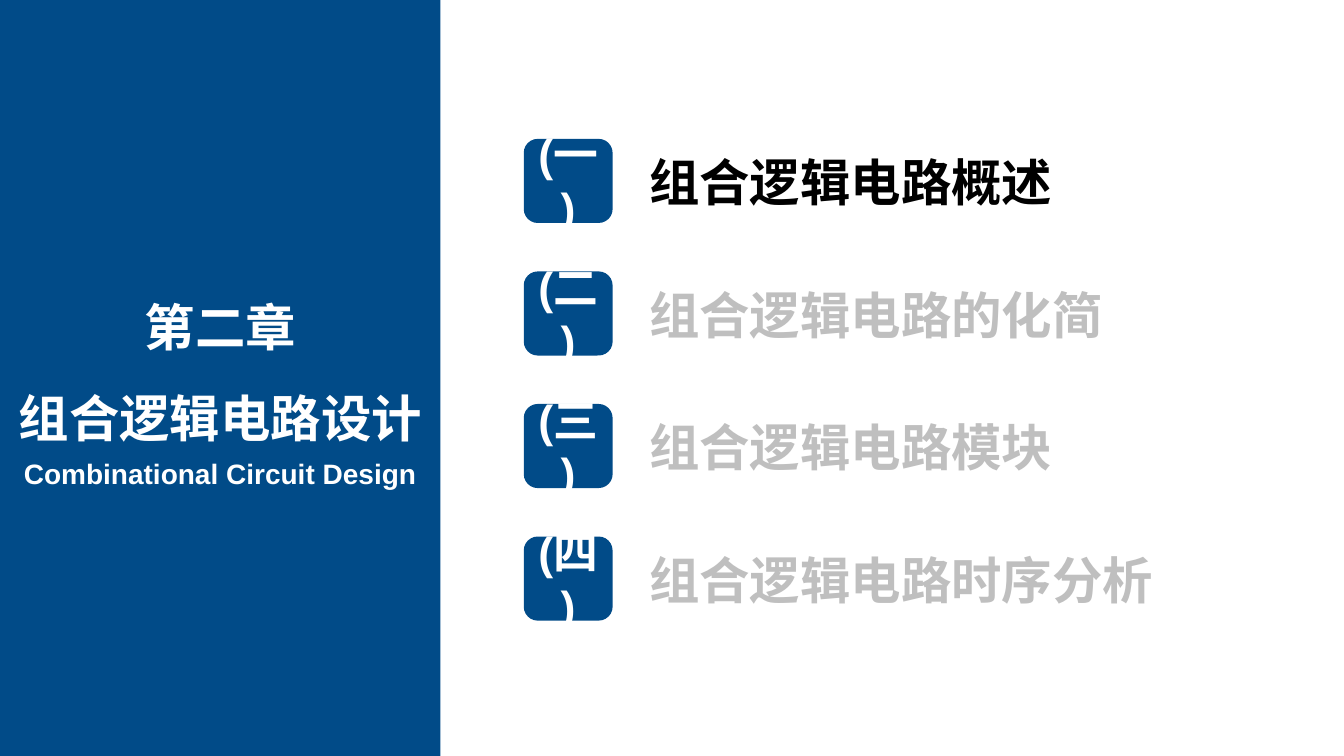
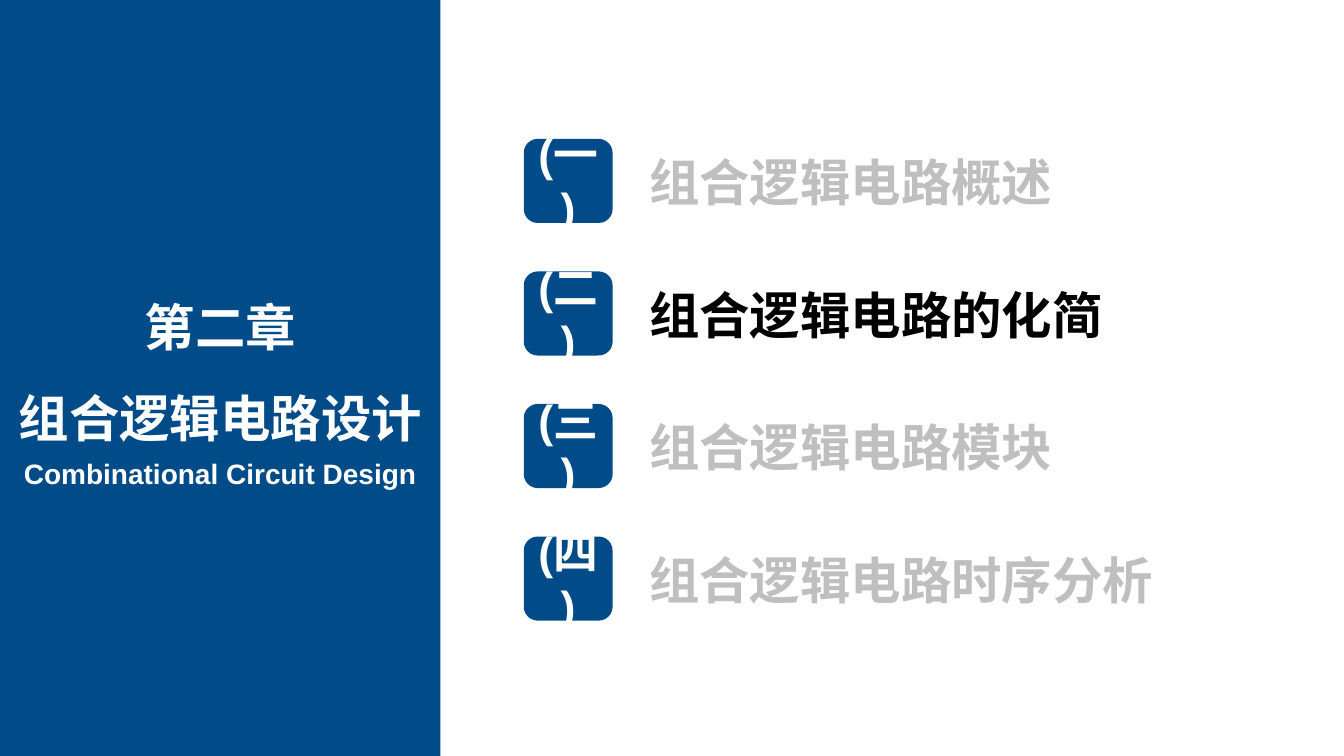
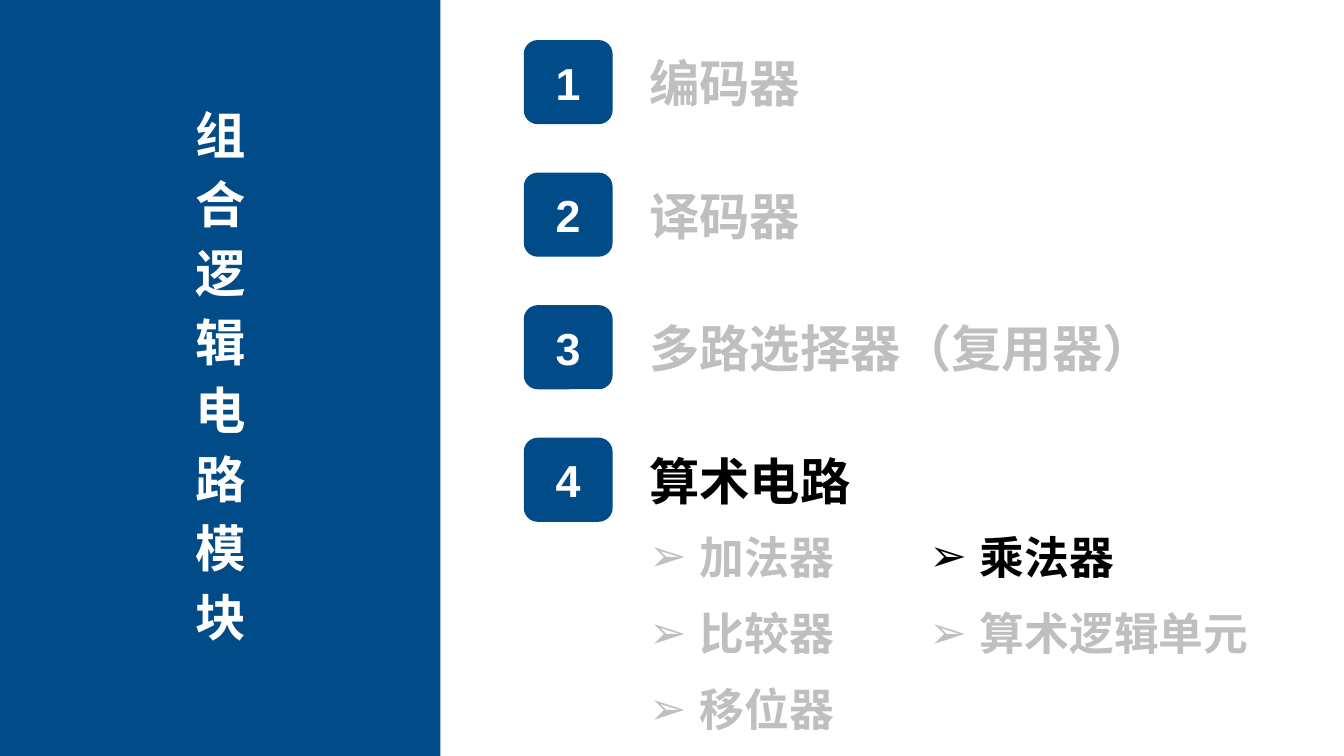
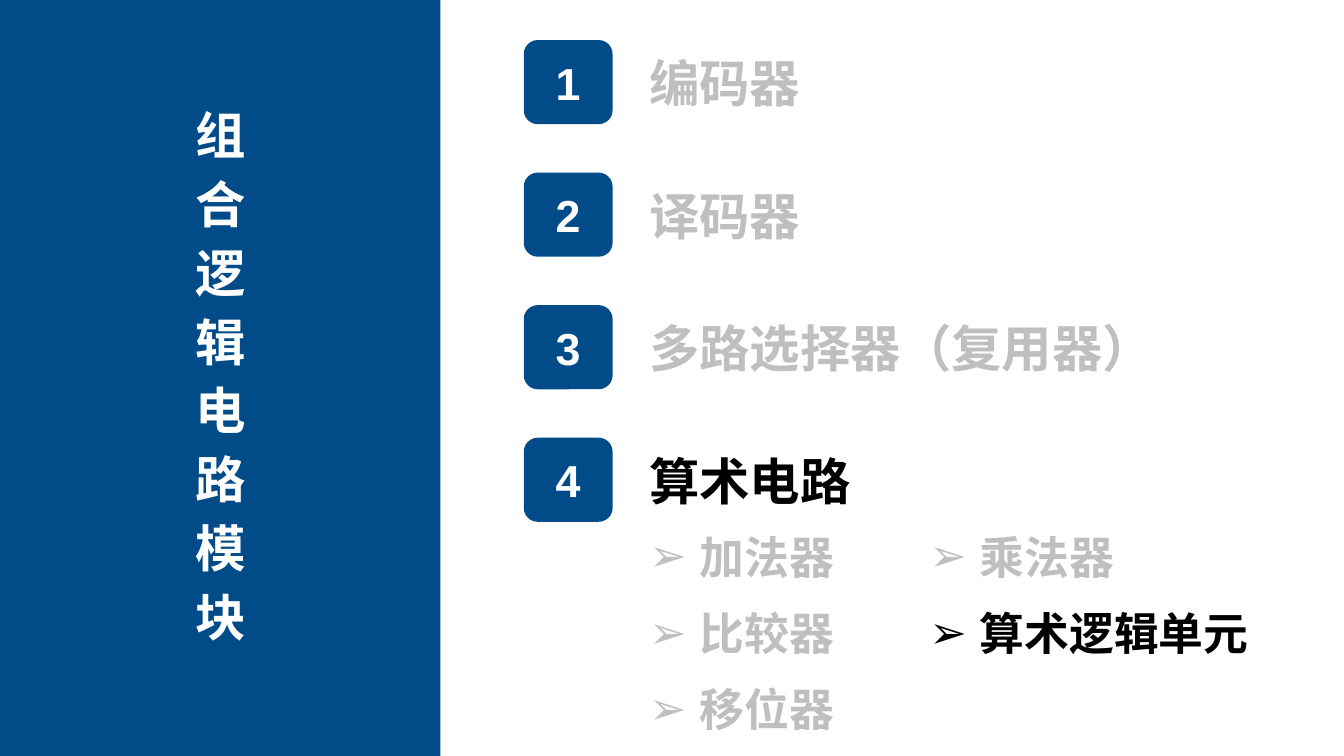
from lxml import etree
from pptx import Presentation
from pptx.dml.color import RGBColor
from pptx.enum.shapes import MSO_SHAPE
from pptx.enum.text import MSO_ANCHOR, MSO_AUTO_SIZE, PP_ALIGN
from pptx.oxml.ns import qn
from pptx.util import Cm, Pt

RECT, ROUNDED = MSO_SHAPE.RECTANGLE, MSO_SHAPE.ROUNDED_RECTANGLE
TOP, MIDDLE = MSO_ANCHOR.TOP, MSO_ANCHOR.MIDDLE
LEFT, CENTER = PP_ALIGN.LEFT, PP_ALIGN.CENTER
NO_FIT = MSO_AUTO_SIZE.NONE

COLORS = {"blue": "014B88", "white": "FFFFFF", "active": "000000", "muted": "BFBFBF"}
FONT = "Arial"
LINE = 1.2           # line height as a multiple of the font size

# Layout grid, in cm
PANEL_W, SLIDE_H = 11.1, 19.05
BADGE_X, BADGE_W, BADGE_H = 13.2, 2.24, 2.12
TOPIC_X, TOPIC_W, TOPIC_PITCH = 16.36, 14.5, 3.34
SUB_Y, SUB_H, SUB_PITCH = 13.34, 5.3, 1.92
SUB_COLUMNS = ((2, 16.36, 6), (4, 23.42, 9.1))    # placeholder, left, width

CHAPTER = ["第二章", "组合逻辑电路设计"]
CHAPTER_EN = "Combinational Circuit Design"
CHAPTER_TOPICS = ["组合逻辑电路概述", "组合逻辑电路的化简", "组合逻辑电路模块", "组合逻辑电路时序分析"]
MODULE = list("组合逻辑电路模块")
MODULE_TOPICS = ["编码器", "译码器", "多路选择器（复用器）", "算术电路"]
ARITHMETIC = [["加法器", "比较器", "移位器"], ["乘法器", "算术逻辑单元"]]


class Deck:
    def __init__(self):
        self.prs = Presentation()
        self.prs.slide_width, self.prs.slide_height = Cm(33.87), Cm(SLIDE_H)
        self.s = None

    def new_slide(self, layout):
        """Start a slide with the blue panel behind its placeholders."""
        self.s = self.prs.slides.add_slide(self.prs.slide_layouts[layout])
        panel = self.shape(RECT, 0, 0, PANEL_W, SLIDE_H)
        self.s.shapes._spTree.insert(2, panel._element)

    def shape(self, kind, x, y, w, h):
        sp = self.s.shapes.add_shape(kind, Cm(x), Cm(y), Cm(w), Cm(h))
        sp.shadow.inherit = False
        sp.fill.solid()
        sp.fill.fore_color.rgb = RGBColor.from_string(COLORS["blue"])
        sp.line.fill.background()
        return sp

    def place(self, sp, x, y, w, h):
        sp.left, sp.top, sp.width, sp.height = Cm(x), Cm(y), Cm(w), Cm(h)
        return sp

    def fill_text(self, sp, lines, size, color="white", align=CENTER, anchor=TOP,
                  insets=(0, 0), spacing=None, after=0, active=None, bullet=None):
        tf = sp.text_frame
        tf.text = "\n".join(lines)
        tf.word_wrap, tf.auto_size, tf.vertical_anchor = True, NO_FIT, anchor
        tf.margin_left = tf.margin_right = Cm(insets[0])
        tf.margin_top = tf.margin_bottom = Cm(insets[1])
        for p in tf.paragraphs:
            self.set_bullet(p, bullet)
            p.alignment = align
            p.space_before, p.space_after = Pt(0), Pt(after)
            if spacing:
                p.line_spacing = Pt(round(size * spacing, 1))
            for r in p.runs:
                r.font.name, r.font.size, r.font.bold = FONT, Pt(size), True
                shade = "active" if r.text == active else color
                r.font.color.rgb = RGBColor.from_string(COLORS[shade])

    def set_bullet(self, p, char):
        pPr = p._p.get_or_add_pPr()
        indent = Cm(1.27) if char else 0
        pPr.set("marL", str(indent))
        pPr.set("indent", str(-indent))
        if char:
            etree.SubElement(pPr, qn("a:buFont")).set("typeface", FONT)
            etree.SubElement(pPr, qn("a:buChar")).set("char", char)
        else:
            etree.SubElement(pPr, qn("a:buNone"))

    def title(self, lines, y, h, spacing, after=0):
        sp = self.place(self.s.shapes.title, 0, y, PANEL_W, h)
        self.fill_text(sp, lines, 36, spacing=spacing, after=after)

    def subtitle(self, text):
        sp = self.s.shapes.add_textbox(0, Cm(11.5), Cm(PANEL_W), Cm(0.86))
        self.fill_text(sp, [text], 20)

    def body_list(self, idx, x, y, w, h, lines, size, pitch, active, bullet=None):
        """Fill a body placeholder with lines set a fixed pitch apart."""
        sp = self.place(self.s.placeholders[idx], x, y, w, h)
        after = round(Cm(pitch).pt - size * LINE, 1)
        self.fill_text(sp, lines, size, "muted", LEFT, spacing=LINE, after=after,
                       active=active, bullet=bullet)

    def topics(self, labels, names, y, active):
        """Numbered badges with one topic beside each."""
        for i, label in enumerate(labels):
            badge = self.shape(ROUNDED, BADGE_X, y + i * TOPIC_PITCH, BADGE_W, BADGE_H)
            self.fill_text(badge, [label], 32, anchor=MIDDLE, insets=(0.2, 0.13))
        self.body_list(1, TOPIC_X, y + 0.31, TOPIC_W, 11.6, names, 36, TOPIC_PITCH, active)

    def chapter_slide(self, active):
        self.new_slide(1)
        self.title(CHAPTER, 6.7, 4.6, LINE * 1.5)
        self.subtitle(CHAPTER_EN)
        self.topics(["(一)", "(二)", "(三)", "(四)"], CHAPTER_TOPICS, 3.5, active)

    def module_slide(self, active):
        self.new_slide(4)
        self.title(MODULE, 2.62, 13.9, LINE, after=6)
        self.topics("1234", MODULE_TOPICS, 1.01, "算术电路")
        for (idx, x, w), names in zip(SUB_COLUMNS, ARITHMETIC):
            self.body_list(idx, x, SUB_Y, w, SUB_H, names, 32, SUB_PITCH, active, "➢")
        spare = self.s.placeholders[3]._element
        spare.getparent().remove(spare)


def main():
    deck = Deck()
    for topic in CHAPTER_TOPICS[:2]:
        deck.chapter_slide(topic)
    for circuit in ARITHMETIC[1]:
        deck.module_slide(circuit)
    deck.prs.save("out.pptx")


if __name__ == "__main__":
    main()
